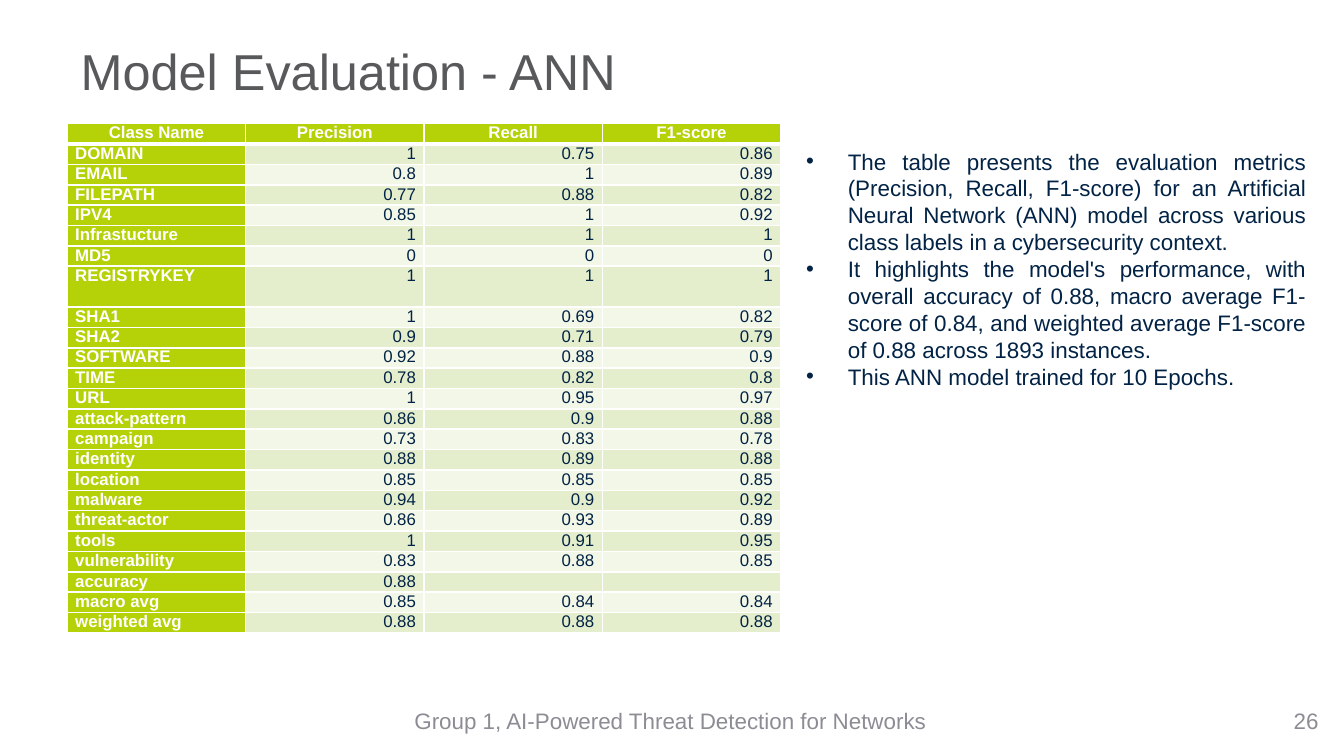
from pptx import Presentation
from pptx.dml.color import RGBColor
from pptx.enum.text import MSO_ANCHOR, PP_ALIGN
from pptx.oxml.ns import qn
from pptx.util import Inches, Pt
from lxml.etree import SubElement

COLORS = {
    "title": "58595B",
    "foot": "8C8D94",
    "ink": "022345",
    "white": "FFFFFF",
    "lime": "B5D107",
    "dark": "E5EECC",
    "light": "F3F7E7",
}

HEADS = ["Class Name", "Precision", "Recall", "F1-score"]
SCORES = [
    ["DOMAIN", "1", "0.75", "0.86"],
    ["EMAIL", "0.8", "1", "0.89"],
    ["FILEPATH", "0.77", "0.88", "0.82"],
    ["IPV4", "0.85", "1", "0.92"],
    ["Infrastucture", "1", "1", "1"],
    ["MD5", "0", "0", "0"],
    ["REGISTRYKEY", "1", "1", "1"],
    ["SHA1", "1", "0.69", "0.82"],
    ["SHA2", "0.9", "0.71", "0.79"],
    ["SOFTWARE", "0.92", "0.88", "0.9"],
    ["TIME", "0.78", "0.82", "0.8"],
    ["URL", "1", "0.95", "0.97"],
    ["attack-pattern", "0.86", "0.9", "0.88"],
    ["campaign", "0.73", "0.83", "0.78"],
    ["identity", "0.88", "0.89", "0.88"],
    ["location", "0.85", "0.85", "0.85"],
    ["malware", "0.94", "0.9", "0.92"],
    ["threat-actor", "0.86", "0.93", "0.89"],
    ["tools", "1", "0.91", "0.95"],
    ["vulnerability", "0.83", "0.88", "0.85"],
    ["accuracy", "0.88", "", ""],
    ["macro avg", "0.85", "0.84", "0.84"],
    ["weighted avg", "0.88", "0.88", "0.88"],
]
TALL = "REGISTRYKEY"  # this row is two lines high

NOTES = [
    "The table presents the evaluation metrics (Precision, Recall, F1-score) "
    "for an Artificial Neural Network (ANN) model across various class labels "
    "in a cybersecurity context. ",
    "It highlights the model's performance, with overall accuracy of 0.88, "
    "macro average F1-score of 0.84, and weighted average F1-score of 0.88 "
    "across 1893 instances.",
    "This ANN model trained for 10 Epochs.",
]


def rgb(name):
    return RGBColor.from_string(COLORS[name])


def style(para, size, color, align, bold=False):
    para.alignment = align
    font = para.font
    font.name = "Arial"
    font.size = Pt(size)
    font.bold = bold
    font.color.rgb = rgb(color)


def add_title(slide, text):
    title = slide.shapes.title
    title.left, title.top = Inches(0.5), Inches(0.23)
    title.width, title.height = Inches(9), Inches(0.59)
    frame = title.text_frame
    frame.text = text
    frame.vertical_anchor = MSO_ANCHOR.MIDDLE
    style(frame.paragraphs[0], 27, "title", PP_ALIGN.LEFT)


def add_box(slide, left, top, width, height):
    box = slide.shapes.add_textbox(
        Inches(left), Inches(top), Inches(width), Inches(height))
    box.text_frame.word_wrap = True
    return box.text_frame


def add_foot(slide, left, width, text, align):
    frame = add_box(slide, left, 5.21, width, 0.3)
    frame.text = text
    frame.vertical_anchor = MSO_ANCHOR.MIDDLE
    style(frame.paragraphs[0], 12, "foot", align)


def add_notes(slide):
    frame = add_box(slide, 5.9, 1.05, 3.92, 1.92)
    frame.text = "\n".join(NOTES)
    for para in frame.paragraphs:
        props = para._p.get_or_add_pPr()
        props.set("marL", str(Inches(0.31)))
        props.set("indent", str(-Inches(0.31)))
        SubElement(props, qn("a:buFont"), typeface="Arial")
        SubElement(props, qn("a:buChar"), char="•")
        style(para, 12, "ink", PP_ALIGN.JUSTIFY)


def add_edges(cell, bottom):
    props = cell._tc.get_or_add_tcPr()
    for side, width in zip("LRTB", (1, 1, 1, bottom)):
        line = SubElement(props, qn("a:ln" + side), w=str(Pt(width)))
        fill = SubElement(line, qn("a:solidFill"))
        SubElement(fill, qn("a:srgbClr"), val=COLORS["white"])


def fill_cell(cell, text, row, col):
    # A thick rule closes the header
    add_edges(cell, 3 if row == 0 else 1)
    cell.margin_left = cell.margin_right = Inches(0.06)
    cell.margin_top = cell.margin_bottom = 0
    label = row == 0 or col == 0
    band = "dark" if row % 2 else "light"
    cell.fill.solid()
    cell.fill.fore_color.rgb = rgb("lime" if label else band)
    if row == 0:
        align = PP_ALIGN.CENTER
    else:
        align = PP_ALIGN.RIGHT if col else PP_ALIGN.JUSTIFY
    cell.text = text
    style(cell.text_frame.paragraphs[0], 9,
          "white" if label else "ink", align, label)


def add_scores(slide):
    rows = [HEADS] + SCORES
    high = Inches(3.79)
    table = slide.shapes.add_table(
        len(rows), len(HEADS), Inches(0.5), Inches(0.92),
        Inches(5.31), high).table
    unit = high // (len(rows) + 1)
    for i, row in enumerate(rows):
        table.rows[i].height = unit * (2 if row[0] == TALL else 1)
        for j, text in enumerate(row):
            fill_cell(table.cell(i, j), text, i, j)


def main():
    deck = Presentation()
    # Widescreen page, 16:9
    deck.slide_width = Inches(10)
    deck.slide_height = Inches(10) * 9 // 16
    slide = deck.slides.add_slide(deck.slide_layouts[5])
    add_title(slide, "Model Evaluation - ANN")
    # Footer and page number
    add_foot(slide, 1.82, 6.34,
             "Group 1, AI-Powered Threat Detection for Networks",
             PP_ALIGN.CENTER)
    add_foot(slide, 7.58, 2.33, "26", PP_ALIGN.RIGHT)
    # Scores on the left, remarks on the right
    add_scores(slide)
    add_notes(slide)
    deck.save("out.pptx")


if __name__ == "__main__":
    main()
